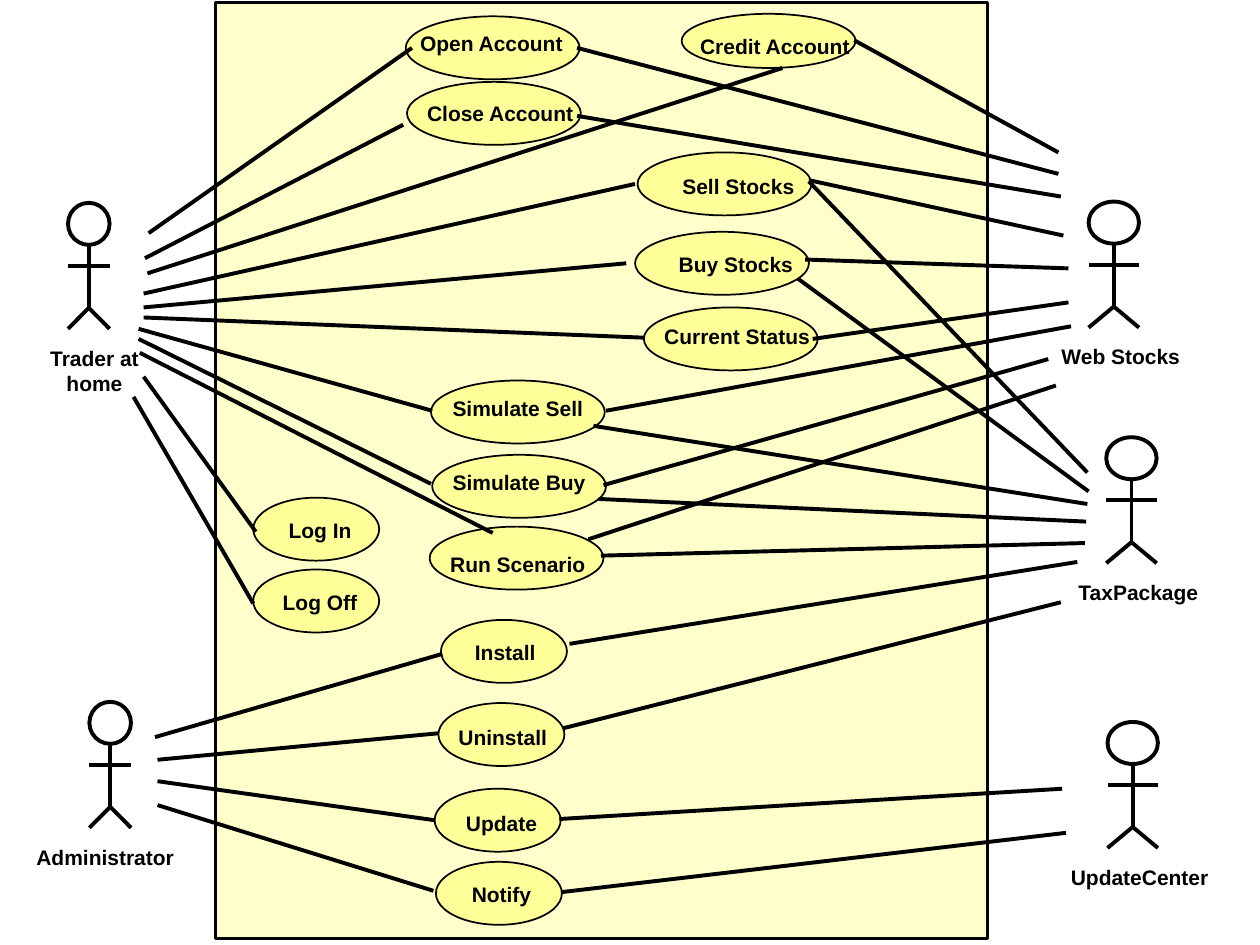
from dataclasses import dataclass
from lxml import etree
from pptx import Presentation
from pptx.dml.color import RGBColor
from pptx.enum.shapes import MSO_CONNECTOR, MSO_SHAPE
from pptx.enum.text import MSO_AUTO_SIZE, PP_ALIGN
from pptx.oxml.ns import qn
from pptx.util import Inches, Pt

RECT, OVAL = MSO_SHAPE.RECTANGLE, MSO_SHAPE.OVAL
STRAIGHT = MSO_CONNECTOR.STRAIGHT
CENTER = PP_ALIGN.CENTER
FIT = MSO_AUTO_SIZE.SHAPE_TO_FIT_TEXT


@dataclass(frozen=True)
class Theme:
    ink: RGBColor = RGBColor(0x00, 0x00, 0x00)
    system: RGBColor = RGBColor(0xFF, 0xFF, 0xCC)
    use_case: RGBColor = RGBColor(0xFF, 0xFF, 0x99)
    font: str = "Arial"
    label: int = 12
    border: float = 1.5
    outline: float = 1
    stroke: float = 2.25


THEME = Theme()
LABEL_FORMAT = {"name": THEME.font, "size": Pt(THEME.label), "bold": True}
LABEL_HEIGHT = 0.3
CASE_LABEL_WIDTH = 1.92

SYSTEM_BOX = (1.71, 0.02, 6.13, 7.43)
WIDE, NARROW, FLAT = (1.38, 0.5), (1, 0.5), (1.38, 0.43)

USE_CASES = [
    ("Open Account", (3.22, 0.13), WIDE, (2.94, 0.19)),
    ("Close Account", (3.23, 0.65), WIDE, (3.01, 0.75)),
    ("Credit Account", (5.41, 0.11), FLAT, (5.19, 0.22)),
    ("Sell Stocks", (5.06, 1.21), WIDE, (4.9, 1.33)),
    ("Buy Stocks", (5.04, 1.84), WIDE, (4.88, 1.95)),
    ("Current Status", (5.11, 2.44), WIDE, (4.89, 2.52)),
    ("Simulate Sell", (3.42, 3.02), WIDE, (3.15, 3.09)),
    ("Simulate Buy", (3.43, 3.61), WIDE, (3.16, 3.68)),
    ("Run Scenario", (3.41, 4.18), WIDE, (3.15, 4.33)),
    ("Log In", (2.01, 3.95), NARROW, (1.58, 4.06)),
    ("Log Off", (2.01, 4.52), NARROW, (1.58, 4.63)),
    ("Install", (3.5, 4.92), NARROW, (3.05, 5.03)),
    ("Uninstall", (3.48, 5.58), NARROW, (3.03, 5.7)),
    ("Update", (3.45, 6.26), NARROW, (3.02, 6.38)),
    ("Notify", (3.46, 6.84), NARROW, (3.02, 6.95)),
]

ACTORS = [
    ("Trader at home", (0.54, 1.61, 0.33, 1), (0.21, 1.08, 0.5)),
    ("Administrator", (0.71, 5.57, 0.33, 1), (0.13, 1.41, LABEL_HEIGHT)),
    ("Web Stocks", (8.64, 1.6, 0.4, 1), (8.24, 1.31, LABEL_HEIGHT)),
    ("TaxPackage", (8.78, 3.47, 0.4, 1), (8.38, 1.31, LABEL_HEIGHT)),
    ("UpdateCenter", (8.79, 5.73, 0.4, 1), (8.39, 1.31, LABEL_HEIGHT)),
]

ASSOCIATIONS = {
    "Trader at home": [
        (1.18, 1.85, 3.27, 0.38), (1.15, 2.05, 3.2, 0.99),
        (1.17, 2.17, 6.21, 0.54), (1.14, 2.33, 5.04, 1.46),
        (1.14, 2.44, 4.97, 2.09), (1.14, 2.52, 5.11, 2.68),
        (1.1, 2.61, 3.43, 3.26), (1.1, 2.69, 3.42, 3.84),
        (1.11, 2.8, 3.91, 4.23), (1.14, 2.99, 2.03, 4.22),
        (1.06, 3.15, 2.01, 4.79),
    ],
    "Administrator": [
        (1.23, 5.85, 3.51, 5.19), (1.25, 6.03, 3.48, 5.82),
        (1.25, 6.2, 3.45, 6.51), (1.25, 6.39, 3.44, 7.07),
    ],
    "Web Stocks": [
        (6.78, 0.32, 8.4, 1.21), (4.58, 0.38, 8.4, 1.38),
        (4.58, 0.92, 8.42, 1.56), (6.42, 1.43, 8.44, 1.87),
        (6.39, 2.06, 8.48, 2.13), (6.45, 2.69, 8.48, 2.4),
        (4.81, 3.26, 8.5, 2.59), (4.79, 3.85, 8.32, 2.85),
        (4.67, 4.28, 8.38, 3.06),
    ],
    "TaxPackage": [
        (6.42, 1.44, 8.63, 3.75), (6.33, 2.21, 8.64, 3.9),
        (4.71, 3.38, 8.63, 4), (4.75, 3.96, 8.62, 4.14),
        (4.77, 4.41, 8.61, 4.31), (4.52, 5.11, 8.55, 4.46),
        (4.47, 5.78, 8.42, 4.78),
    ],
    "UpdateCenter": [
        (4.44, 6.5, 8.43, 6.26), (4.46, 7.08, 8.46, 6.61),
    ],
}


def add_outline(s, kind, box, weight, fill=None):
    sp = s.shapes.add_shape(kind, *map(Inches, box))
    sp.shadow.inherit = False
    if fill is None:
        sp.fill.background()
    else:
        sp.fill.solid()
        sp.fill.fore_color.rgb = fill
    sp.line.color.rgb = THEME.ink
    sp.line.width = Pt(weight)


def add_stroke(s, ends):
    line = s.shapes.add_connector(STRAIGHT, *map(Inches, ends))
    line.line.color.rgb = THEME.ink
    line.line.width = Pt(THEME.stroke)
    etree.SubElement(line._element.spPr, qn("a:effectLst"))


def add_label(s, text, box):
    tf = s.shapes.add_textbox(*map(Inches, box)).text_frame
    tf.word_wrap = True
    tf.auto_size = FIT
    p = tf.paragraphs[0]
    p.alignment = CENTER
    r = p.add_run()
    r.text = text
    for name, value in LABEL_FORMAT.items():
        setattr(r.font, name, value)
    r.font.color.rgb = THEME.ink


def add_system(s, box):
    add_outline(s, RECT, box, THEME.border, THEME.system)


def add_use_case(s, name, box, label_at):
    add_outline(s, OVAL, box, THEME.outline, THEME.use_case)
    add_label(s, name, (*label_at, CASE_LABEL_WIDTH, LABEL_HEIGHT))


def add_actor(s, name, box, label):
    left, top, width, height = box
    right, center, feet = left + width, left + width / 2, top + height
    neck, arms, hip = (top + height * part / 6 for part in (2, 3, 5))
    add_outline(s, OVAL, (left, top, width, neck - top), THEME.stroke)
    for ends in (
        (center, neck, center, hip),
        (center, hip, right, feet),
        (center, hip, left, feet),
        (left, arms, right, arms),
    ):
        add_stroke(s, ends)
    label_left, label_width, label_height = label
    add_label(s, name, (label_left, feet + 0.08, label_width, label_height))


def main():
    prs = Presentation()
    prs.slide_width, prs.slide_height = Inches(10), Inches(7.5)
    s = prs.slides.add_slide(prs.slide_layouts[6])
    add_system(s, SYSTEM_BOX)
    for name, corner, size, label_at in USE_CASES:
        add_use_case(s, name, (*corner, *size), label_at)
    for name, box, label in ACTORS:
        add_actor(s, name, box, label)
        for ends in ASSOCIATIONS[name]:
            add_stroke(s, ends)
    prs.save("out.pptx")


if __name__ == "__main__":
    main()
